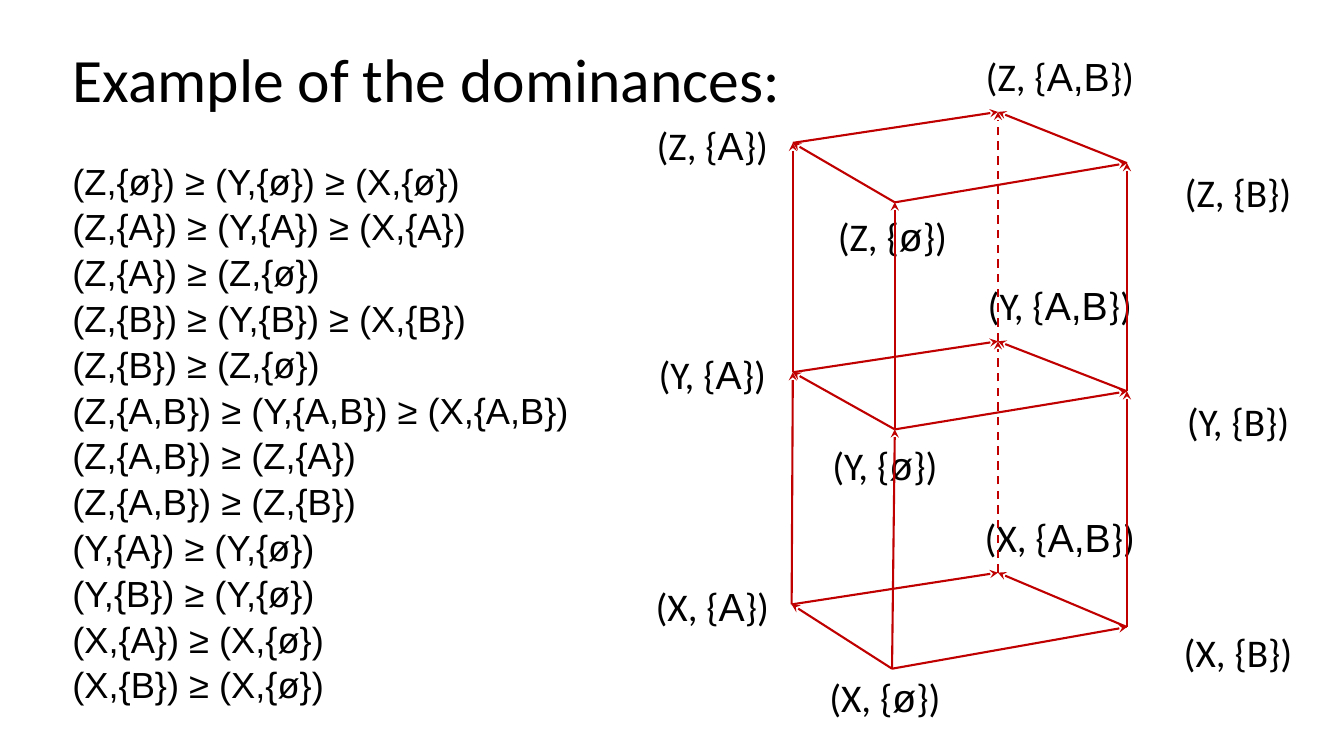
"""Build the dominance lattice slide: a list of relations beside a layered cube."""
from dataclasses import dataclass

from pptx import Presentation
from pptx.dml.color import RGBColor
from pptx.enum import dml, shapes, text
from pptx.oxml.xmlchemy import OxmlElement
from pptx.util import Cm, Pt

HEADING = "Example of the dominances:"
DOMINANCES = [
    "(Z,{ø}) ≥ (Y,{ø}) ≥ (X,{ø})",
    "(Z,{A}) ≥ (Y,{A}) ≥ (X,{A})",
    "(Z,{A}) ≥ (Z,{ø})",
    "(Z,{B}) ≥ (Y,{B}) ≥ (X,{B})",
    "(Z,{B}) ≥ (Z,{ø})",
    "(Z,{A,B}) ≥ (Y,{A,B}) ≥ (X,{A,B})",
    "(Z,{A,B}) ≥ (Z,{A})",
    "(Z,{A,B}) ≥ (Z,{B})",
    "(Y,{A}) ≥ (Y,{ø})",
    "(Y,{B}) ≥ (Y,{ø})",
    "(X,{A}) ≥ (X,{ø})",
    "(X,{B}) ≥ (X,{ø})",
]
CORNERS = {
    "X": {"ø": (22.48, 16.85), "A": (19.95, 15.23), "B": (28.4, 15.8), "A,B": (25.15, 14.43)},
    "Y": {"ø": (22.55, 10.82), "A": (19.98, 9.38), "B": (28.4, 9.86), "A,B": (25.15, 8.6)},
    "Z": {"ø": (22.55, 5.1), "A": (19.98, 3.6), "B": (28.4, 4.11), "A,B": (25.15, 2.82)},
}
LEVEL_TOPS = {"X": 12.8, "Y": 6.96, "Z": 1.19}
LABELS = {"B": (29.18, 2.92, 4.04), "ø": (20.28, 4.03, 4.04),
          "A": (15.93, 1.74, 4.04), "A,B": (24.16, 0, 5.1)}
LABEL_SHIFTS = {("Z", "ø"): 0.19}
LABEL_HEIGHT = 1.45
FACE_EDGES = [("ø", "A"), ("B", "A,B"), ("A", "A,B"), ("ø", "B")]
RISES = [("X", "Y"), ("Y", "Z")]
HIDDEN_COLUMN = "A,B"


@dataclass(frozen=True)
class Theme:
    """Colours, fonts and type sizes of the slide."""
    ink: RGBColor = RGBColor(0, 0, 0)
    arrow: RGBColor = RGBColor(0xC0, 0, 0)
    main: str = "Calibri"
    symbols: str = "Arial"
    heading: float = 44
    relation: float = 25.9
    label: float = 28
    stroke: float = 1.5


THEME = Theme()


def add_run(paragraph, words, font_name, size):
    """Append one formatted run."""
    run = paragraph.add_run()
    run.text = words
    run.font.name = font_name
    run.font.size = Pt(size)
    run.font.color.rgb = THEME.ink


def place(shape, left, top, width, height):
    """Move and size a shape in centimetres."""
    shape.left, shape.top, shape.width, shape.height = map(Cm, (left, top, width, height))


def add_heading(slide):
    """Fill the title placeholder."""
    heading = slide.shapes.title
    place(heading, 1.57, 0.25, 29.21, 3.68)
    heading.text_frame.vertical_anchor = text.MSO_ANCHOR.MIDDLE
    paragraph = heading.text_frame.paragraphs[0]
    paragraph.alignment = text.PP_ALIGN.LEFT
    paragraph.line_spacing = 0.9
    add_run(paragraph, HEADING, THEME.main, THEME.heading)


def add_dominances(slide):
    """Fill the body placeholder with one relation per paragraph."""
    body = slide.placeholders[1]
    place(body, 1.57, 4.15, 29.95, 14.17)
    frame = body.text_frame
    frame.auto_size = text.MSO_AUTO_SIZE.NONE
    for index, relation in enumerate(DOMINANCES):
        paragraph = frame.add_paragraph() if index else frame.paragraphs[0]
        properties = paragraph._p.get_or_add_pPr()
        properties.set("marL", "0")
        properties.set("indent", "0")
        properties.append(OxmlElement("a:buNone"))
        paragraph.line_spacing = 0.73
        paragraph.space_before = Pt(10 if index else 0)
        add_run(paragraph, relation, THEME.symbols, THEME.relation)


def add_label(slide, level, members):
    """Name one corner of the lattice."""
    left, drop, width = LABELS[members]
    label = slide.shapes.add_textbox(0, 0, 0, 0)
    place(label, left + LABEL_SHIFTS.get((level, members), 0),
          LEVEL_TOPS[level] + drop, width, LABEL_HEIGHT)
    label.text_frame.word_wrap = True
    label.text_frame.auto_size = text.MSO_AUTO_SIZE.SHAPE_TO_FIT_TEXT
    paragraph = label.text_frame.paragraphs[0]
    paragraph.alignment = text.PP_ALIGN.CENTER
    members_font = THEME.main if members == "B" else THEME.symbols
    for words, font_name in ((f"({level}, {{", THEME.main), (members, members_font),
                             ("})", THEME.main)):
        add_run(paragraph, words, font_name, THEME.label)


def add_arrow(slide, start, end, dashed=False):
    """Draw a stealth arrow between two lattice corners."""
    arrow = slide.shapes.add_connector(
        shapes.MSO_CONNECTOR.STRAIGHT, *map(Cm, (*start, *end)))
    arrow.line.color.rgb = THEME.arrow
    arrow.line.width = Pt(THEME.stroke)
    if dashed:
        arrow.line.dash_style = dml.MSO_LINE.DASH
    tip = OxmlElement("a:tailEnd")
    tip.set("type", "stealth")
    arrow.line._get_or_add_ln().append(tip)
    arrow._element.spPr.append(OxmlElement("a:effectLst"))


def add_lattice(slide):
    """Draw the three faces, their labels and the columns joining them."""
    for level, corners in CORNERS.items():
        for members in LABELS:
            add_label(slide, level, members)
        for lower, upper in FACE_EDGES:
            add_arrow(slide, corners[lower], corners[upper])
    for lower, upper in RISES:
        for members in LABELS:
            add_arrow(slide, CORNERS[lower][members], CORNERS[upper][members],
                      members == HIDDEN_COLUMN)


def main():
    """Assemble and save the slide."""
    deck = Presentation()
    deck.slide_width, deck.slide_height = Cm(33.87), Cm(19.05)
    slide = deck.slides.add_slide(deck.slide_layouts[1])
    add_heading(slide)
    add_dominances(slide)
    add_lattice(slide)
    deck.save("out.pptx")


if __name__ == "__main__":
    main()
